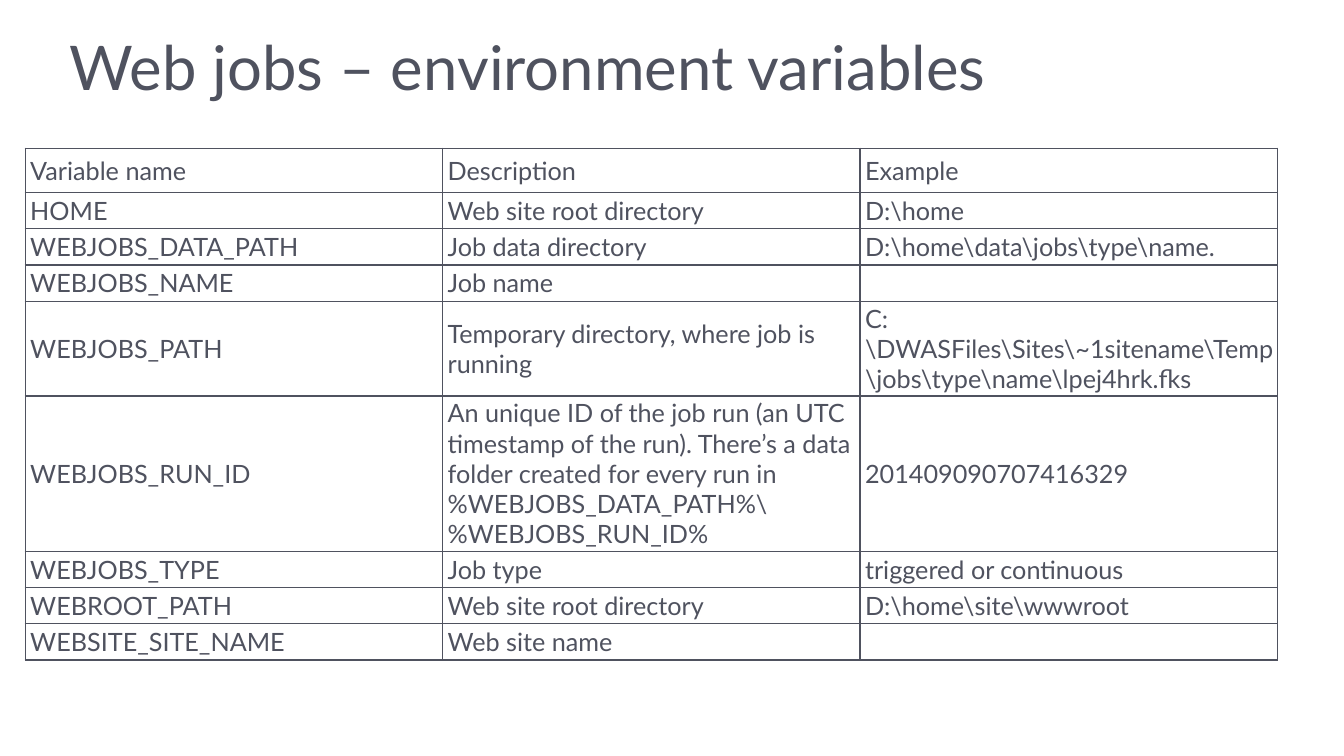
"""Build the slide that lists the environment variables of web jobs."""
from typing import NamedTuple

from lxml.etree import SubElement as Sub
from pptx import Presentation
from pptx.dml.color import RGBColor
from pptx.enum.text import MSO_ANCHOR as Anchor, PP_ALIGN as Align
from pptx.oxml.ns import qn
from pptx.util import Emu, Pt

SCALE = 9144
INK = RGBColor(0x4F, 0x52, 0x5F)
FACE = "Lato"


class Row(NamedTuple):
    high: int
    name: str
    about: str
    sample: str = ""


ROWS = [
    Row(44, "Variable name", "Description", "Example"),
    Row(36, "HOME", "Web site root directory", r"D:\home"),
    Row(36, "WEBJOBS_DATA_PATH", "Job data directory",
        r"D:\home\data\jobs\type\name."),
    Row(36, "WEBJOBS_NAME", "Job name"),
    Row(63, "WEBJOBS_PATH", "Temporary directory, where job is running",
        r"C:\DWASFiles\Sites\~1sitename\Temp\jobs\type\name\lpej4hrk.fks"),
    Row(144, "WEBJOBS_RUN_ID",
        "An unique ID of the job run (an UTC timestamp of the run). "
        "There’s a data folder created for every run in "
        r"%WEBJOBS_DATA_PATH%\%WEBJOBS_RUN_ID%", "201409090707416329"),
    Row(36, "WEBJOBS_TYPE", "Job type", "triggered or continuous"),
    Row(36, "WEBROOT_PATH", "Web site root directory",
        r"D:\home\site\wwwroot"),
    Row(36, "WEBSITE_SITE_NAME", "Web site name"),
]


def px(size: int) -> Emu:
    return Emu(size * SCALE)


def style(para, size: int) -> None:
    para.alignment = Align.LEFT
    para.font.name = FACE
    para.font.size = Pt(size)
    para.font.color.rgb = INK


def frame(cell) -> None:
    props = cell._tc.get_or_add_tcPr()
    for side in ("lnL", "lnR", "lnT", "lnB"):
        line = Sub(props, qn(f"a:{side}"), w=str(Pt(1)))
        fill = Sub(line, qn("a:solidFill"))
        Sub(fill, qn("a:srgbClr"), val=str(INK))


def write(cell, text: str) -> None:
    frame(cell)
    cell.fill.background()
    cell.vertical_anchor = Anchor.MIDDLE
    cell.margin_left = cell.margin_right = px(5)
    cell.margin_top = cell.margin_bottom = px(2)
    cell.text = text
    style(cell.text_frame.paragraphs[0], 18)


def head(title) -> None:
    title.left, title.top, title.width, title.height = map(
        px, (59, 32, 1275, 98))
    title.text = "Web jobs – environment variables"
    title.text_frame.vertical_anchor = Anchor.TOP
    para = title.text_frame.paragraphs[0]
    para.line_spacing = 0.9
    style(para, 44)


def grid(shapes) -> None:
    table = shapes.add_table(
        len(ROWS), 3, px(25), px(147), px(1242),
        px(sum(row.high for row in ROWS))).table
    table.first_row = table.horz_banding = False
    for col in table.columns:
        col.width = px(414)
    for line, row in zip(table.rows, ROWS):
        line.height = px(row.high)
        for cell, text in zip(line.cells, row[1:]):
            write(cell, text)


def main() -> None:
    deck = Presentation()
    deck.slide_width, deck.slide_height = px(1333), px(750)
    slide = deck.slides.add_slide(deck.slide_layouts[5])
    head(slide.shapes.title)
    grid(slide.shapes)
    deck.save("out.pptx")


if __name__ == "__main__":
    main()
